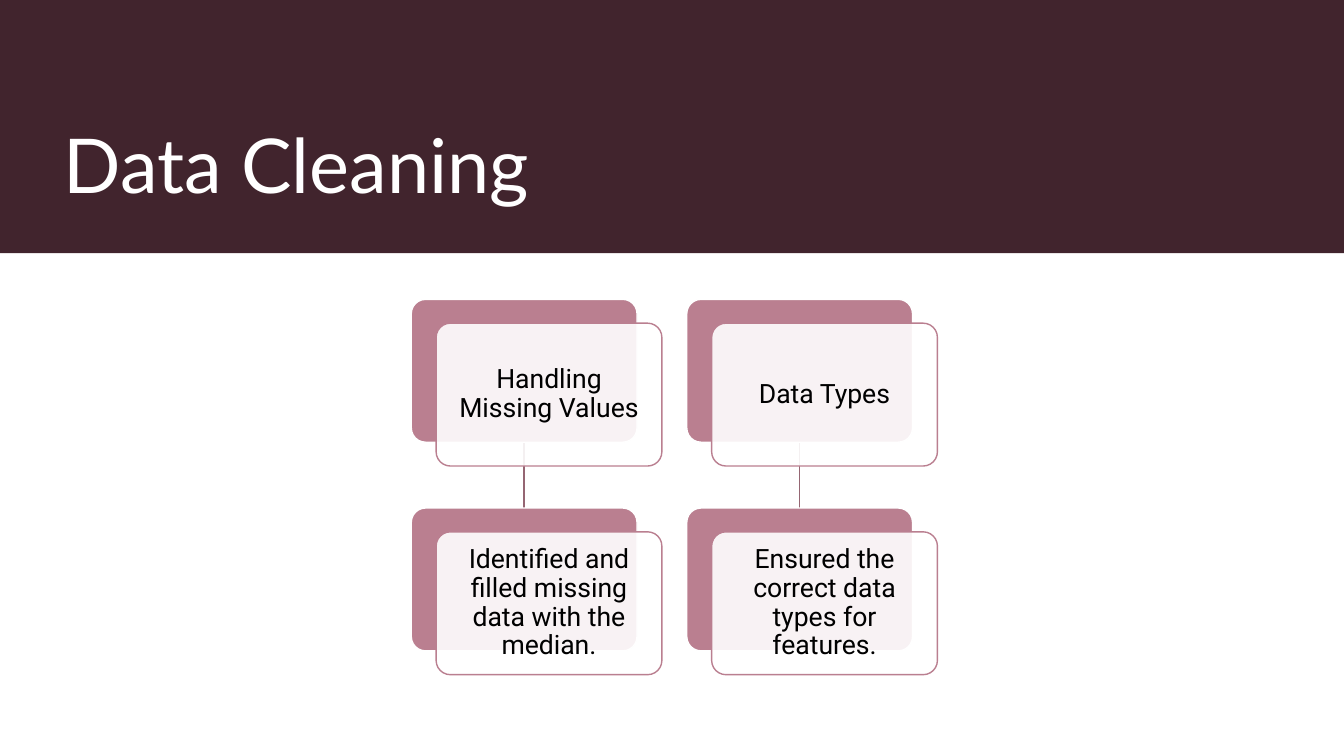
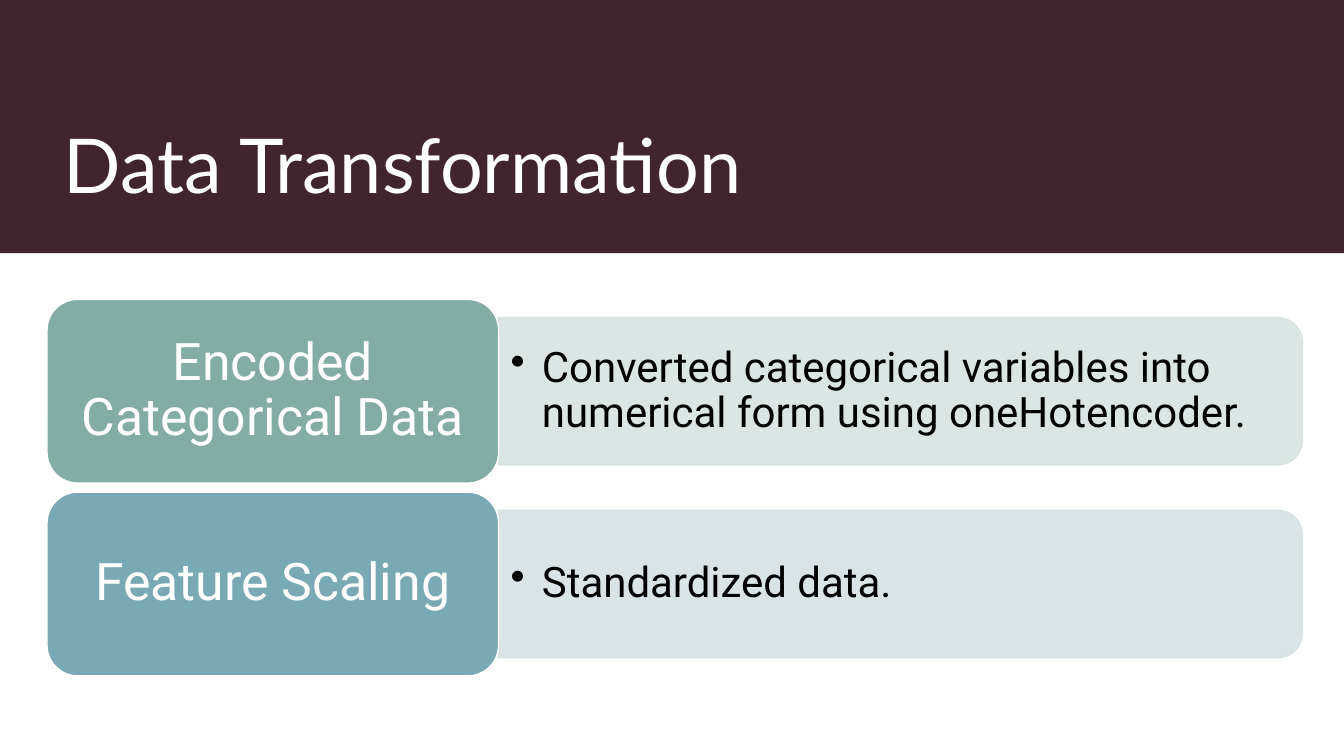
from lxml import etree
from pptx import Presentation
from pptx import util as u
from pptx.dml.color import RGBColor
from pptx.enum import shapes, text
from pptx.oxml.ns import qn

HUE = {
    "band": "41242D", "white": "FFFFFF", "black": "000000",
    "rose": "BA7F90", "link": "956673",
    "green": "82ACA4", "mint": "D8E3E0",
    "blue": "7AA9B6", "mist": "D7E2E5",
}
KIND = shapes.MSO_SHAPE
LEFT, MID = text.PP_ALIGN.LEFT, text.PP_ALIGN.CENTER
LOW, CORE = text.MSO_ANCHOR.BOTTOM, text.MSO_ANCHOR.MIDDLE

deck = Presentation()
deck.slide_width, deck.slide_height = u.Inches(13.333), u.Inches(7.5)
COL, ROW = deck.slide_width / 100, deck.slide_height / 100  # 1 % steps


def draw(page, kind, x, y, w, h, fill, line=None, alpha=None, turn=False):
    """Add a shape by its visible box in percent; turn rotates it 90 degrees."""
    wide, high = w * COL, h * ROW
    midx, midy = x * COL + wide / 2, y * ROW + high / 2
    if turn:
        wide, high = high, wide
    form = page.shapes.add_shape(kind, *map(int, (
        midx - wide / 2, midy - high / 2, wide, high)))
    form.rotation = 90 if turn else 0
    form.shadow.inherit = False
    form.fill.solid()
    form.fill.fore_color.rgb = RGBColor.from_string(HUE[fill])
    if alpha:
        tint = form._element.spPr.find(qn("a:solidFill"))[0]
        etree.SubElement(tint, qn("a:alpha")).set("val", str(alpha * 1000))
    if line:
        form.line.color.rgb = RGBColor.from_string(HUE[line])
        form.line.width = u.Pt(1)
    else:
        form.line.fill.background()
    return form


def write(form, words, size, hue, pad, font="Roboto", align=MID, anchor=CORE, lead=0.9):
    """Fill a shape with one paragraph; pad is (side, end) in inches."""
    frame = form.text_frame
    side, end = map(u.Inches, pad)
    look = {"word_wrap": True, "vertical_anchor": anchor,
            "margin_left": side, "margin_right": side,
            "margin_top": end, "margin_bottom": end}
    for name, value in look.items():
        setattr(frame, name, value)
    para = frame.paragraphs[0]
    para.text, para.alignment, para.line_spacing = words, align, lead
    run = para.runs[0].font
    for name, value in {"name": font, "size": u.Pt(size)}.items():
        setattr(run, name, value)
    run.color.rgb = RGBColor.from_string(HUE[hue])
    return para


# Band and title on every slide
pages = []
for head in ("Data Cleaning", "Data Transformation"):
    page = deck.slides.add_slide(deck.slide_layouts[6])
    draw(page, KIND.RECTANGLE, 0, 0, 100, 33.5, "band")
    box = page.shapes.add_textbox(*map(int, (4 * COL, 5.3 * ROW, 89 * COL, 23 * ROW)))
    write(box, head, 54, "white", (0.1, 0.05), "Lato", LEFT, LOW, 1)
    pages.append(page)
clean, shift = pages
TOP = 39.6

# Data Cleaning: two columns of stacked cards, each pair joined by a line
steps = [
    ("Handling Missing Values", "Identified and filled missing data with the median."),
    ("Data Types", "Ensured the correct data types for features."),
]
EDGE, WIDE, HIGH = 30.6, 16.8, 18.9
NEXT, DOWN = 20.5, 27.6
for col, pair in enumerate(steps):
    x = EDGE + col * NEXT
    mid = int((x + WIDE / 2) * COL)
    link = clean.shapes.add_connector(
        shapes.MSO_CONNECTOR.STRAIGHT,
        mid, int((TOP + HIGH) * ROW), mid, int((TOP + DOWN) * ROW))
    link.line.color.rgb = RGBColor.from_string(HUE["link"])
    link.line.width = u.Pt(1)
    etree.SubElement(link._element.spPr, qn("a:effectLst"))
    for row, words in enumerate(pair):
        y = TOP + row * DOWN
        back = draw(clean, KIND.ROUNDED_RECTANGLE, x, y, WIDE, HIGH, "rose", "white")
        card = draw(clean, KIND.ROUNDED_RECTANGLE, x + 1.85, y + 3.15, WIDE, HIGH,
                    "white", "rose", alpha=90)
        for form in (back, card):
            form.adjustments[0] = 0.1
        write(card, words, 19, "black", (0.08, 0.08))

# Data Transformation: a label and a panel on each row
tasks = [
    ("Encoded Categorical Data", "green", "mint",
     "Converted categorical variables into numerical form using oneHotencoder."),
    ("Feature Scaling", "blue", "mist", "Standardized data."),
]
EDGE, WIDE, HIGH = 3.5, 33.6, 24.3
SPAN, THIN, DOWN = 59.8, 19.5, 25.5
for row, (name, dark, pale, words) in enumerate(tasks):
    y = TOP + row * DOWN
    x, inset = EDGE + WIDE, y + (HIGH - THIN) / 2
    draw(shift, KIND.ROUND_2_SAME_RECTANGLE, x, inset, SPAN, THIN, pale, pale,
         alpha=90, turn=True)
    box = shift.shapes.add_textbox(*map(int, (x * COL, inset * ROW, SPAN * COL, THIN * ROW)))
    para = write(box, words, 30, "black", (0.12, 0.06), align=LEFT)
    rule = para._p.get_or_add_pPr()
    hang = u.Inches(0.31)
    rule.set("marL", str(hang))
    rule.set("indent", str(-hang))
    etree.SubElement(rule, qn("a:buChar")).set("char", "•")
    label = draw(shift, KIND.ROUNDED_RECTANGLE, EDGE, y, WIDE, HIGH, dark, "white")
    write(label, name, 37, "white", (0.15, 0.08))

deck.save("out.pptx")
